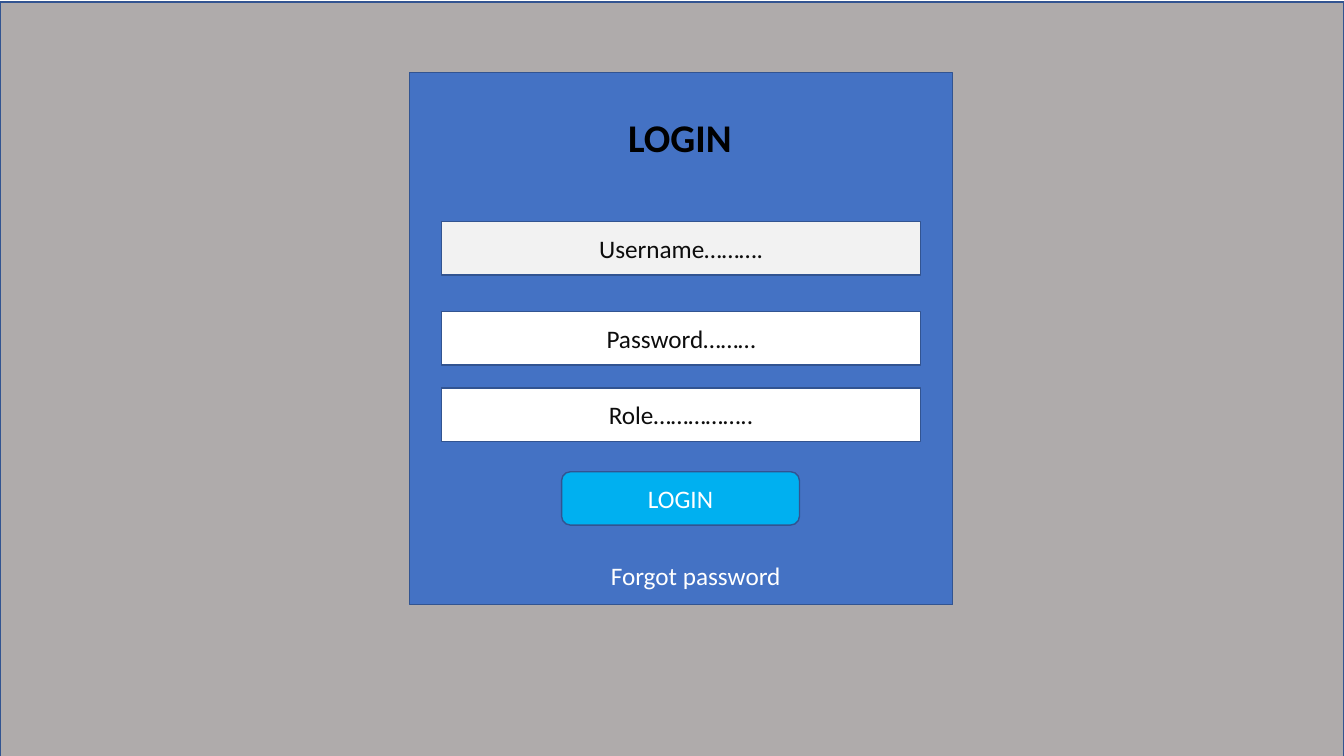
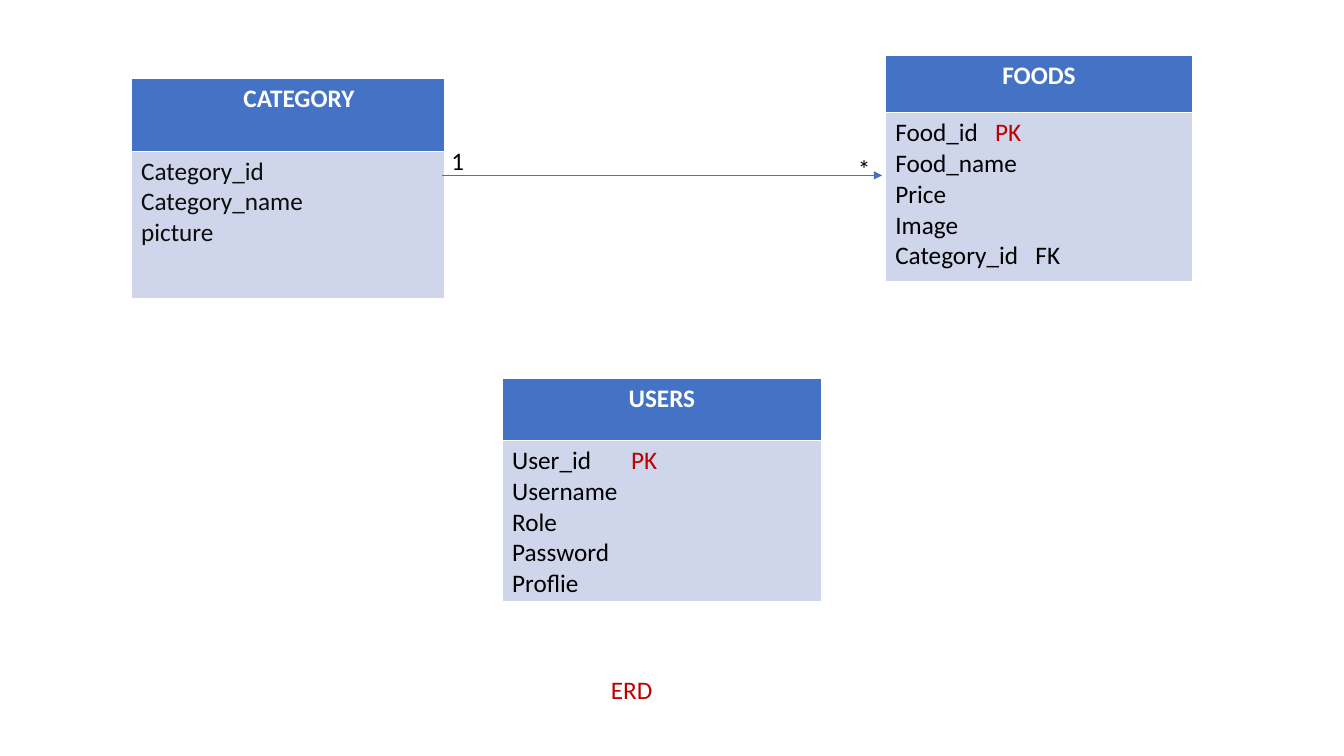
"""Build a login form mock-up and an entity relationship diagram."""
from lxml.etree import SubElement
from pptx import Presentation
from pptx.dml.color import RGBColor
from pptx.enum.shapes import MSO_CONNECTOR, MSO_SHAPE
from pptx.enum.text import MSO_ANCHOR, MSO_AUTO_SIZE, PP_ALIGN
from pptx.oxml import parse_xml
from pptx.oxml.ns import nsdecls, qn
from pptx.util import Inches, Pt

FONT = "Calibri"
BLUE = RGBColor(0x44, 0x72, 0xC4)
OUTLINE = RGBColor(0x32, 0x54, 0x91)
GREY = RGBColor(0xAF, 0xAB, 0xAB)
PALE_GREY = RGBColor(0xF2, 0xF2, 0xF2)
PALE_BLUE = RGBColor(0xCF, 0xD5, 0xEA)
SKY = RGBColor(0x00, 0xB0, 0xF0)
WHITE = RGBColor(0xFF, 0xFF, 0xFF)
BLACK = RGBColor(0x00, 0x00, 0x00)
INK = RGBColor(0x0D, 0x0D, 0x0D)
RED = RGBColor(0xC0, 0x00, 0x00)


def write(paragraph, text, color, size=18, bold=False, align=PP_ALIGN.LEFT):
    """Put styled text into a paragraph."""
    paragraph.add_run().text = text
    paragraph.alignment = align
    font = paragraph.font
    font.name, font.size, font.bold = FONT, Pt(size), bold
    font.color.rgb = color


def add_box(slide, left, top, width, height, fill, text="", color=INK,
            outline=MSO_SHAPE.RECTANGLE):
    """Add an outlined shape with optional centred text."""
    box = slide.shapes.add_shape(outline, Inches(left), Inches(top),
                                 Inches(width), Inches(height))
    box.shadow.inherit = False
    box.fill.solid()
    box.fill.fore_color.rgb = fill
    box.line.color.rgb = OUTLINE
    box.line.width = Pt(1)
    if text:
        box.text_frame.vertical_anchor = MSO_ANCHOR.MIDDLE
        write(box.text_frame.paragraphs[0], text, color, align=PP_ALIGN.CENTER)


def add_label(slide, left, top, width, text, color, height=0.4, inset=0.1,
              **style):
    """Add a line of free-standing text."""
    label = slide.shapes.add_textbox(Inches(left), Inches(top),
                                     Inches(width), Inches(height))
    frame = label.text_frame
    frame.word_wrap = True
    frame.auto_size = MSO_AUTO_SIZE.SHAPE_TO_FIT_TEXT
    frame.margin_left = Inches(inset)
    write(frame.paragraphs[0], text, color, **style)


def add_key(paragraph, key, color, offset):
    """Append a key marker at a tab stop."""
    tabs = parse_xml(f'<a:tabLst {nsdecls("a")}>'
                     f'<a:tab pos="{Inches(offset)}" algn="l"/></a:tabLst>')
    paragraph._p.get_or_add_pPr().insert(0, tabs)
    marker = paragraph.add_run()
    marker.text = "\t" + key
    marker.font.color.rgb = color


def add_entity(slide, left, top, width, heights, name, fields, keys=(),
               color=BLACK, name_inset=0.1):
    """Add an entity table with a name row and a row of fields."""
    table = slide.shapes.add_table(2, 1, Inches(left), Inches(top),
                                   Inches(width), Inches(sum(heights))).table
    for row, height in zip(table.rows, heights):
        row.height = Inches(height)
    header, body = table.cell(0, 0), table.cell(1, 0)
    for cell, fill in ((header, BLUE), (body, PALE_BLUE)):
        cell.fill.solid()
        cell.fill.fore_color.rgb = fill
    header.margin_left = Inches(name_inset)
    write(header.text_frame.paragraphs[0], name, WHITE, bold=True,
          align=PP_ALIGN.CENTER)
    frame = body.text_frame
    lines = [frame.paragraphs[0]] + [frame.add_paragraph() for _ in fields[1:]]
    for line, field in zip(lines, fields):
        write(line, field, color)
    for index, *key in keys:
        add_key(lines[index], *key)


def add_arrow(slide, start, end, y):
    """Add a thin horizontal arrow."""
    arrow = slide.shapes.add_connector(MSO_CONNECTOR.STRAIGHT, Inches(start),
                                       Inches(y), Inches(end), Inches(y))
    arrow.line.color.rgb = BLUE
    arrow.line.width = Pt(0.5)
    SubElement(arrow.line._get_or_add_ln(), qn("a:tailEnd"), type="triangle")
    SubElement(arrow._element.spPr, qn("a:effectLst"))


def build_login(slide):
    """Draw the login form."""
    add_box(slide, 0, 0.02, 13.33, 7.5, GREY)
    add_box(slide, 4.06, 0.72, 5.39, 5.28, BLUE)
    add_label(slide, 5.96, 1.08, 3.04, "LOGIN", BLACK, height=0.57,
              inset=0.27, size=28, bold=True)
    for top, prompt, fill in ((2.2, "Username……….", PALE_GREY),
                              (3.09, "Password………", WHITE),
                              (3.85, "Role……………..", WHITE)):
        add_box(slide, 4.38, top, 4.75, 0.53, fill, prompt)
    add_box(slide, 5.57, 4.68, 2.36, 0.53, SKY, "LOGIN", WHITE,
            MSO_SHAPE.ROUNDED_RECTANGLE)
    add_label(slide, 5.96, 5.51, 2.36, "Forgot password", WHITE)


def build_diagram(slide):
    """Draw the entities and their relationship."""
    add_entity(slide, 8.78, 0.55, 3.05, (0.57, 1.67), "FOODS",
               ("Food_id", "Food_name", "Price", "Image", "Category_id"),
               keys=((0, "PK", RED, 0.99), (4, "FK", BLACK, 1.39)))
    add_entity(slide, 1.3, 0.78, 3.11, (0.72, 1.46), "CATEGORY",
               ("Category_id", "Category_name", "picture"),
               color=INK, name_inset=0.32)
    add_entity(slide, 4.98, 3.75, 3.17, (0.62, 1.6), "USERS",
               ("User_id", "Username", "Role", "Password", "Proflie"),
               keys=((0, "PK", RED, 1.18),))
    add_arrow(slide, 4.38, 8.75, 1.74)
    add_label(slide, 4.38, 1.39, 0.67, "1", BLACK)
    add_label(slide, 8.41, 1.47, 0.67, "*", BLACK)
    add_label(slide, 5.96, 6.64, 2.79, "ERD", RED)


def main():
    """Build and save the presentation."""
    deck = Presentation()
    deck.slide_width, deck.slide_height = Inches(13.33), Inches(7.5)
    for build in (build_login, build_diagram):
        build(deck.slides.add_slide(deck.slide_layouts[6]))
    deck.save("out.pptx")


if __name__ == "__main__":
    main()
